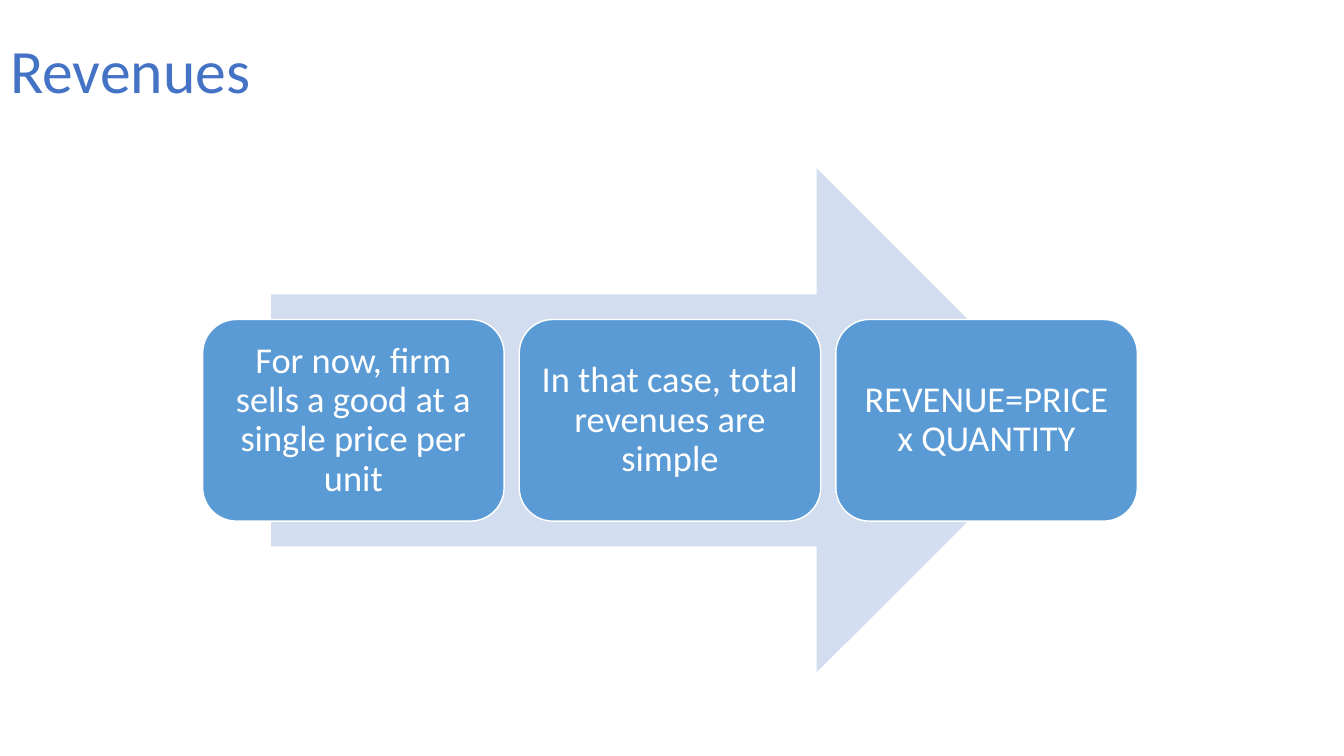
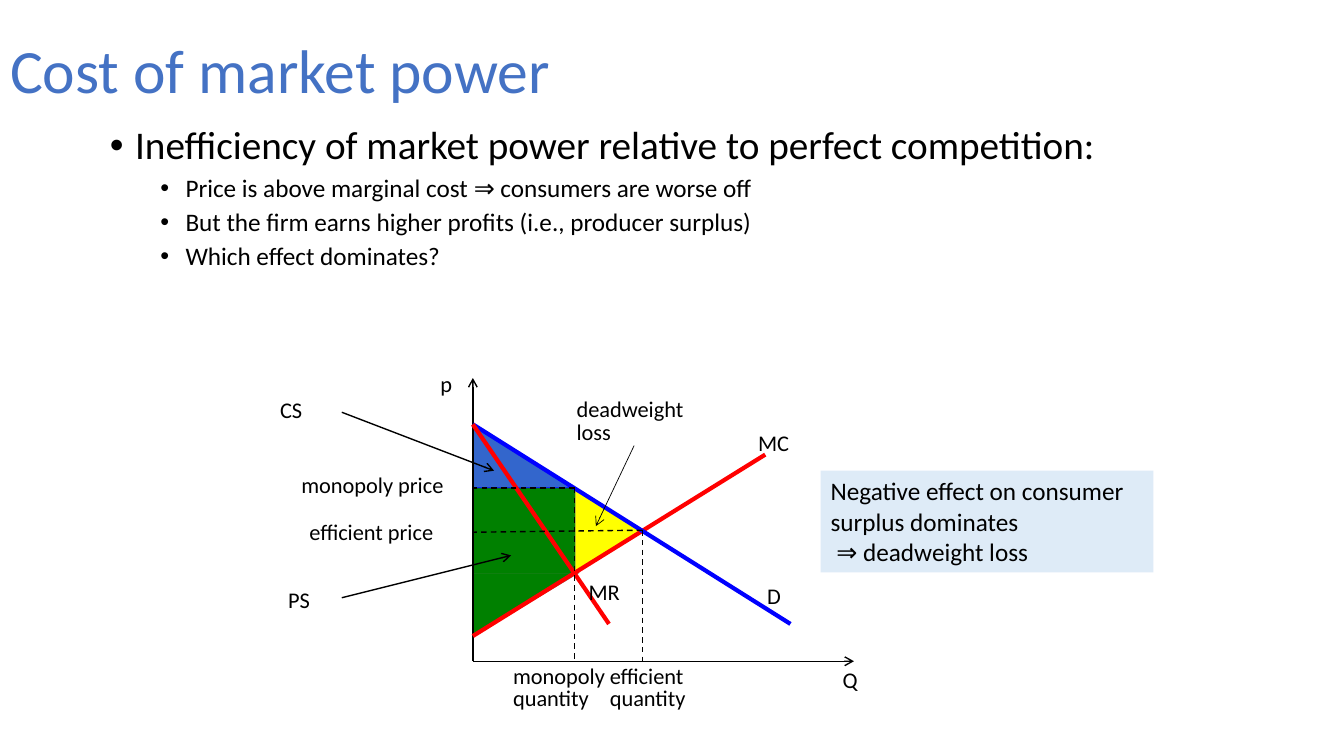
from lxml import etree
from pptx import Presentation
from pptx.dml.color import RGBColor
from pptx.enum.dml import MSO_LINE
from pptx.enum.shapes import MSO_CONNECTOR, MSO_SHAPE
from pptx.enum.text import MSO_ANCHOR, MSO_AUTO_SIZE, PP_ALIGN
from pptx.oxml.ns import qn
from pptx.util import Inches, Pt

LEFT, CENTER = PP_ALIGN.LEFT, PP_ALIGN.CENTER
TOP, MIDDLE = MSO_ANCHOR.TOP, MSO_ANCHOR.MIDDLE
DASH = MSO_LINE.DASH
STRAIGHT = MSO_CONNECTOR.STRAIGHT
RECTANGLE, ROUNDED = MSO_SHAPE.RECTANGLE, MSO_SHAPE.ROUNDED_RECTANGLE
RIGHT_ARROW = MSO_SHAPE.RIGHT_ARROW
TRIANGLE, RIGHT_TRIANGLE = MSO_SHAPE.ISOSCELES_TRIANGLE, MSO_SHAPE.RIGHT_TRIANGLE

FONT = "Calibri"
BLACK, WHITE = "000000", "FFFFFF"
TITLE_BLUE, STEP_BLUE, PALE_BLUE, NOTE_BLUE = "4472C4", "5B9BD5", "D2DEEF", "DEEBF7"
RED, BLUE, GREEN, YELLOW, SURPLUS_BLUE = "FF0000", "0000FF", "008000", "FFFF00", "3366CC"
TITLE_ONLY, TITLE_AND_BODY = 5, 1


def color(value):
    return RGBColor.from_string(value)


def add_span(para, text, size, shade=BLACK):
    span = para.add_run()
    span.text = text
    span.font.name = FONT
    span.font.size = Pt(size)
    span.font.color.rgb = color(shade)


def place(item, left, top, width, height):
    item.left, item.top = Inches(left), Inches(top)
    item.width, item.height = Inches(width), Inches(height)


def add_page(deck, layout, title):
    page = deck.slides.add_slide(deck.slide_layouts[layout])
    box = page.shapes.title
    place(box, 0, 0, 11.5, 1.45)
    frame = box.text_frame
    frame.auto_size = MSO_AUTO_SIZE.NONE
    frame.vertical_anchor = MIDDLE
    para = frame.paragraphs[0]
    para.alignment = LEFT
    para.line_spacing = 0.9
    add_span(para, title, 44, TITLE_BLUE)
    return page


def add_block(page, kind, left, top, width, height, fill, line=None, weight=1, turn=0):
    block = page.shapes.add_shape(
        kind, Inches(left), Inches(top), Inches(width), Inches(height))
    block.shadow.inherit = False
    block.rotation = turn
    block.fill.solid()
    block.fill.fore_color.rgb = color(fill)
    if line:
        block.line.color.rgb = color(line)
        block.line.width = Pt(weight)
    else:
        block.line.fill.background()
    return block


def add_line(page, start, end, shade=BLACK, weight=1, dashed=False, arrow=False):
    points = [Inches(value) for value in (*start, *end)]
    connector = page.shapes.add_connector(STRAIGHT, *points)
    connector.line.color.rgb = color(shade)
    connector.line.width = Pt(weight)
    if dashed:
        connector.line.dash_style = DASH
    if arrow:
        outline = connector.line._get_or_add_ln()
        etree.SubElement(outline, qn("a:tailEnd"), type="arrow")
    etree.SubElement(connector._element.spPr, qn("a:effectLst"))


def add_label(page, text, left, top, width, height, tight=False):
    box = page.shapes.add_textbox(
        Inches(left), Inches(top), Inches(width), Inches(height))
    box.text_frame.word_wrap = True
    para = box.text_frame.paragraphs[0]
    if tight:
        para.line_spacing = Pt(16)
    add_span(para, text, 16)


def add_steps(page, texts, left, top, width, height):
    arrow_width, gap = 7.91, 0.15
    add_block(page, RIGHT_ARROW, left + (width - arrow_width) / 2, top,
              arrow_width, height, PALE_BLUE)
    step_width = (width - gap * (len(texts) - 1)) / len(texts)
    for index, text in enumerate(texts):
        step = add_block(page, ROUNDED, left + index * (step_width + gap),
                         top + 0.3 * height, step_width, 0.4 * height, STEP_BLUE, WHITE)
        frame = step.text_frame
        frame.word_wrap = True
        frame.vertical_anchor = MIDDLE
        frame.margin_left = frame.margin_right = Inches(0.11)
        frame.margin_top = frame.margin_bottom = Inches(0.11)
        para = frame.paragraphs[0]
        para.alignment = CENTER
        para.line_spacing = 0.9
        add_span(para, text, 26, WHITE)


def add_bullets(page, items, left, top, width, height):
    body = page.placeholders[1]
    place(body, left, top, width, height)
    frame = body.text_frame
    frame.auto_size = MSO_AUTO_SIZE.NONE
    for index, (level, text) in enumerate(items):
        para = frame.add_paragraph() if index else frame.paragraphs[0]
        para.level = level
        properties = para._p.get_or_add_pPr()
        properties.set("marL", str(Inches(0.25 + 0.5 * level)))
        properties.set("indent", str(Inches(-0.25)))
        etree.SubElement(properties, qn("a:buFont"), typeface="Arial")
        etree.SubElement(properties, qn("a:buChar"), char="•")
        para.line_spacing = 0.9
        para.space_before = Pt(5 if index else 0)
        add_span(para, text, 18 if level else 28)


def add_market_diagram(page, left, top, width, height):
    base = top + height

    def at(quantity, price):
        return left + quantity, base - price

    origin = at(0, 0)
    choke = at(0, 2.35)
    monopoly = at(1.01, 1.72)
    efficient = at(1.68, 1.3)
    cost_start = at(0, 0.25)

    loss_side, loss_depth = 0.84, 0.67
    loss_left = monopoly[0] + (loss_depth - loss_side) / 2
    loss_top = monopoly[1] + (loss_side - loss_depth) / 2
    add_block(page, TRIANGLE, loss_left, loss_top, loss_side, loss_depth,
              YELLOW, "325491", turn=90)
    add_block(page, RIGHT_TRIANGLE, left + 0.21, base - 1.09, 0.63, 1.05,
              GREEN, "7A7A7A", turn=90)
    add_block(page, RECTANGLE, left, monopoly[1], 1.01, 0.84, GREEN, GREEN)
    add_block(page, RIGHT_TRIANGLE, *choke, 0.97, 0.63, SURPLUS_BLUE, BLUE, 0.5)

    for end in (at(0, height), at(width, 0)):
        add_line(page, origin, end, arrow=True)
    curves = [
        (at(2.9, 2.05), cost_start, RED),
        (at(3.15, 0.37), choke, BLUE),
        (choke, at(1.35, 0.37), RED),
    ]
    for start, end, shade in curves:
        add_line(page, start, end, shade, 3)
    guides = [
        (monopoly, at(0, 1.72)),
        (monopoly, at(1.01, 0)),
        (efficient, at(1.68, 0)),
        (efficient, at(0, 1.28)),
    ]
    for start, end in guides:
        add_line(page, start, end, dashed=True)
    pointers = [
        (at(1.6, 2.14), at(1.22, 1.34), 0.5),
        (at(-1.3, 2.47), at(0.21, 1.89), 1),
        (at(-1.3, 0.63), at(0.38, 1.05), 1),
    ]
    for start, end, weight in pointers:
        add_line(page, start, end, weight=weight, arrow=True)

    labels = [
        ("p", -0.42, 2.94, 0.42),
        ("Q", 3.57, 0, 0.42),
        ("MC", 2.73, 2.35, 0.71),
        ("D", 2.82, 0.83, 0.5),
        ("MR", 1.05, 0.87, 0.67),
        ("monopoly price", -1.8, 1.93, 1.85),
        ("efficient price", -1.72, 1.47, 1.72),
    ]
    for text, quantity, price, label_width in labels:
        add_label(page, text, *at(quantity, price), label_width, 0.37)
    tight_labels = [
        ("deadweight loss", 0.93, 2.64, 1.39, 0.56),
        ("monopoly quantity", 0.3, 0, 1.18, 0.56),
        ("efficient quantity", 1.26, 0, 1.05, 0.56),
        ("CS", -2.01, 2.63, 0.8, 0.33),
        ("PS", -1.93, 0.75, 0.71, 0.33),
    ]
    for text, quantity, price, label_width, label_height in tight_labels:
        add_label(page, text, *at(quantity, price), label_width, label_height, tight=True)


def add_note(page, lines, left, top, width, height):
    note = add_block(page, RECTANGLE, left, top, width, height, NOTE_BLUE)
    frame = note.text_frame
    frame.word_wrap = True
    frame.vertical_anchor = TOP
    para = frame.paragraphs[0]
    para.alignment = LEFT
    for index, text in enumerate(lines):
        if index:
            para.add_line_break()
        add_span(para, text, 18)


def build_revenues(deck):
    page = add_page(deck, TITLE_ONLY, "Revenues")
    texts = [
        "For now, firm sells a good at a single price per unit",
        "In that case, total revenues are simple",
        "REVENUE=PRICE x QUANTITY",
    ]
    add_steps(page, texts, 2.01, 1.67, 9.27, 5)


def build_market_power(deck):
    page = add_page(deck, TITLE_AND_BODY, "Cost of market power")
    items = [
        (0, "Inefficiency of market power relative to perfect competition:"),
        (1, "Price is above marginal cost ⇒ consumers are worse off"),
        (1, "But the firm earns higher profits (i.e., producer surplus)"),
        (1, "Which effect dominates?"),
    ]
    add_bullets(page, items, 0.99, 1.2, 10.17, 1.83)
    add_market_diagram(page, 4.69, 3.75, 3.78, 2.81)
    lines = ["Negative effect on consumer surplus dominates", " ⇒ deadweight loss"]
    add_note(page, lines, 8.14, 4.67, 3.3, 1.01)


def main():
    deck = Presentation()
    deck.slide_width, deck.slide_height = Inches(13.33), Inches(7.5)
    build_revenues(deck)
    build_market_power(deck)
    deck.save("out.pptx")


if __name__ == "__main__":
    main()
